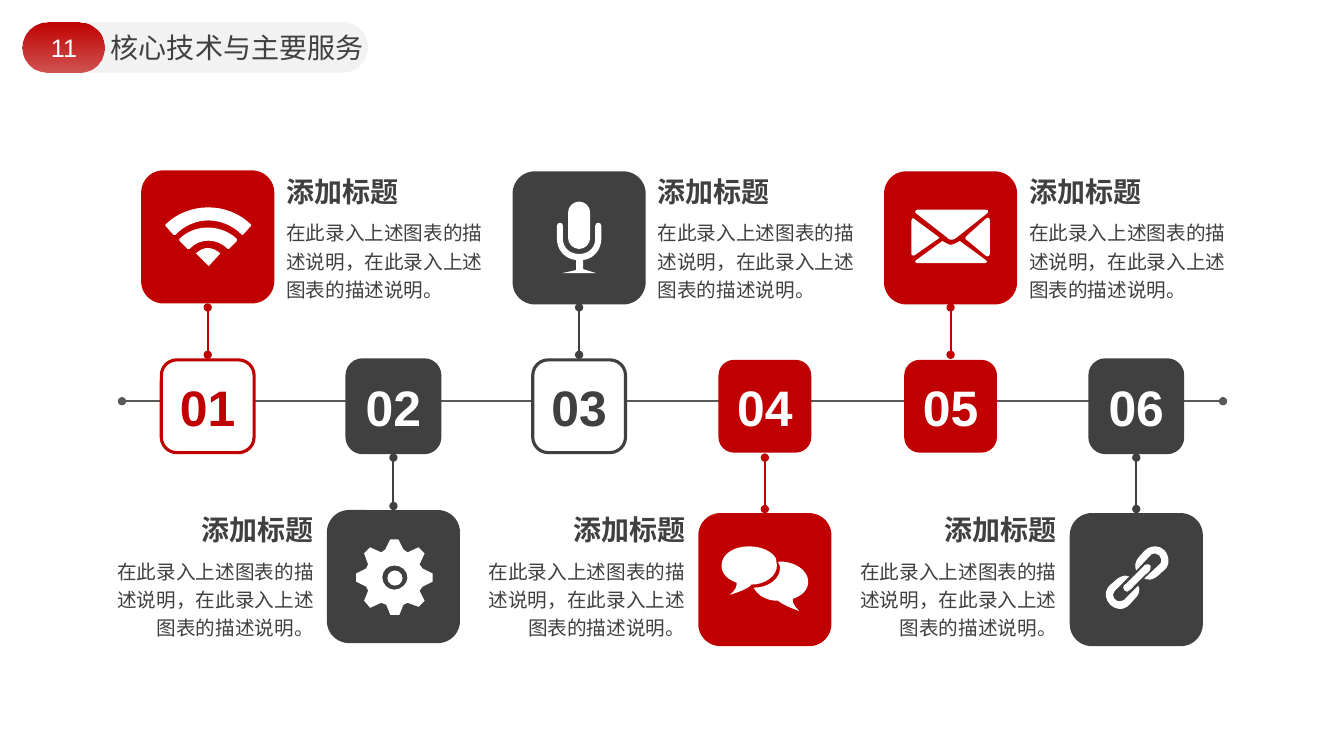
from dataclasses import dataclass

from lxml.etree import SubElement
from pptx import Presentation
from pptx.dml.color import RGBColor
from pptx.enum.shapes import MSO_CONNECTOR as Connector, MSO_SHAPE as Preset
from pptx.enum.text import MSO_ANCHOR as Anchor, MSO_AUTO_SIZE as AutoSize, PP_ALIGN as Align
from pptx.oxml.ns import qn
from pptx.util import Inches, Pt


@dataclass(frozen=True)
class Theme:
    red: str = "C00000"
    dark: str = "404040"
    axis: str = "595959"
    pale: str = "F2F2F2"
    white: str = "FFFFFF"
    latin: str = "Arial"
    chinese: str = "Noto Sans CJK SC"
    badge_size: float = 35.6
    title_size: float = 20
    page_size: float = 18
    body_size: float = 14
    border: float = 2.25
    rule: float = 1.5


THEME = Theme()
TITLE = "核心技术与主要服务"
PAGE = "11"
HEADING = "添加标题"
BODY = "在此录入上述图表的描述说明，在此录入上述图表的描述说明。"

# Icon outlines: M move, L line, C curve, in hundredths of an inch from the tile corner
WIFI = (
    "M 78 82 C 71 76 62 75 55 82 C 54 82 54 83 55 83 L 67 95 L 78 83 C 79 83 78 82 78 82",
    "M 95 68 C 79 53 53 53 38 68 L 38 70 L 46 78 L 48 78 C 58 67 75 67 86 78 L 87 78 L 95 70",
    "M 109 54 C 86 31 47 31 24 54 L 24 55 L 32 64 L 34 64 C 52 45 81 45 100 64 L 101 64 L 109 55",
)
GEAR = (
    "M 95 76 L 105 71 L 105 63 L 95 58 L 92 54 L 97 43 L 91 37 L 80 42 L 76 39 L 71 29 L 63 29 "
    "L 58 39 L 54 42 L 43 37 L 37 43 L 41 54 L 39 58 L 29 63 L 29 71 L 39 76 L 41 80 L 37 90 "
    "L 43 97 L 54 92 L 59 94 L 63 104 L 72 104 L 76 94 L 80 92 L 91 96 L 97 90 L 92 80 "
    "M 67 79 C 60 79 55 73 55 67 C 55 60 60 55 67 55 C 74 55 80 60 80 67 C 80 73 74 79 67 79",
)
MICROPHONE = (
    "M 88 67 L 88 54 C 88 50 82 50 82 54 L 82 67 C 82 76 75 82 66 82 C 57 82 50 76 50 67 L 50 54 "
    "C 50 50 44 50 44 54 L 44 67 C 44 78 52 87 63 88 L 63 98 L 49 101 L 83 101 L 70 97 L 70 88 "
    "C 80 87 88 78 88 67",
    "M 66 77 C 72 77 77 72 77 66 L 77 41 C 77 35 72 30 66 30 C 60 30 55 35 55 41 L 55 66 "
    "C 55 72 60 77 66 77",
)
CHAT = (
    "M 109 68 C 109 57 96 48 81 48 L 79 49 C 81 50 81 53 81 55 C 81 65 70 74 55 74 "
    "C 59 82 68 87 79 87 C 87 93 100 97 100 97 C 94 91 93 87 94 85 C 103 82 109 76 109 68",
    "M 77 45 C 73 38 63 33 50 33 C 35 33 23 41 23 52 C 23 60 29 66 38 69 C 38 72 38 76 31 81 "
    "C 31 81 44 78 52 72 L 52 71 C 67 71 78 62 78 52 C 78 49 78 48 77 45",
)
ENVELOPE = (
    "M 63 66 C 63 66 66 71 73 65 L 102 42 C 102 42 106 38 100 38 L 34 38 C 34 38 30 38 31 41",
    "M 105 81 L 105 48 C 104 44 101 47 101 47 L 81 65 C 79 67 82 68 82 68 L 100 83 "
    "C 105 87 105 81 105 81",
    "M 101 88 L 75 69 C 75 69 71 72 66 73 C 62 72 58 69 58 69 L 32 88 C 29 90 33 91 33 91 "
    "L 100 91 C 100 91 104 90 101 88",
    "M 27 81 L 27 49 C 28 44 31 48 31 48 L 54 65 C 56 66 52 68 52 68 L 32 82 C 27 86 27 81 27 81",
)
CHAIN = (
    "M 74 65 L 90 50 C 93 44 87 38 81 41 L 66 57 C 65 55 65 54 65 51 C 66 46 69 43 72 40 "
    "C 75 36 79 33 85 33 C 92 33 98 39 98 48 C 98 53 95 56 91 59 C 88 62 85 65 80 66 "
    "C 78 66 76 66 74 65",
    "M 76 51 C 79 50 81 52 80 55 C 80 57 77 60 75 61 L 64 72 C 62 74 60 77 57 78 "
    "C 55 78 53 76 53 74 C 53 72 54 71 56 70 L 73 53 C 74 52 74 51 76 51",
    "M 59 63 L 47 75 C 46 76 43 78 43 81 C 43 86 48 89 52 87 C 54 87 55 85 56 84 L 68 72 "
    "C 68 73 69 74 69 76 C 69 82 65 84 62 88 C 59 91 56 96 48 95 C 42 94 37 89 36 83 "
    "C 35 75 39 72 43 69 C 46 66 49 63 55 62 C 56 62 58 63 59 63",
)

# icon, colour, badge fill, badge border, tile top
STEPS = (
    (WIFI, THEME.red, THEME.white, THEME.red, 1.69),
    (GEAR, THEME.dark, THEME.dark, THEME.dark, 5.06),
    (MICROPHONE, THEME.dark, THEME.white, THEME.dark, 1.7),
    (CHAT, THEME.red, THEME.red, None, 5.09),
    (ENVELOPE, THEME.red, THEME.red, None, 1.7),
    (CHAIN, THEME.dark, THEME.dark, THEME.dark, 5.09),
)
FIRST_CENTER, LAST_CENTER = 2.06, 11.27
PITCH = (LAST_CENTER - FIRST_CENTER) / (len(STEPS) - 1)
AXIS_Y, BADGE_TOP, BADGE, TILE, HUB = 3.98, 3.57, 0.92, 1.32, 0.15
HEADING_WIDTH, BODY_WIDTH = 1.32, 2.34


def rgb(value):
    return RGBColor.from_string(value)


def write(shape, text, size, color=THEME.dark, bold=False, align=Align.LEFT, font=THEME.latin,
          wrap=True, spacing=None, anchor=Anchor.TOP):
    frame = shape.text_frame
    frame.auto_size, frame.word_wrap, frame.vertical_anchor = AutoSize.NONE, wrap, anchor
    paragraph = frame.paragraphs[0]
    paragraph.alignment, paragraph.line_spacing = align, spacing
    run = paragraph.add_run()
    run.text = text
    run.font.size, run.font.bold, run.font.name = Pt(size), bold, font
    run.font.color.rgb = rgb(color)
    SubElement(run.font._element, qn("a:ea"), typeface=THEME.chinese)


def paint(shape, fill, border=None):
    shape.shadow.inherit = False
    shape.fill.solid()
    shape.fill.fore_color.rgb = rgb(fill)
    if border:
        shape.line.color.rgb, shape.line.width = rgb(border), Pt(THEME.border)
    else:
        shape.line.fill.background()


def add_box(slide, left, top, width, height):
    return slide.shapes.add_textbox(*map(Inches, (left, top, width, height)))


def add_rounded(slide, left, top, width, height, fill, border=None, pill=False):
    shape = slide.shapes.add_shape(Preset.ROUNDED_RECTANGLE,
                                   *map(Inches, (left, top, width, height)))
    if pill:
        shape.adjustments[0] = 0.5
    paint(shape, fill, border)
    return shape


def add_dotted_line(slide, start, end, color):
    """Draw a line with a round dot at each end."""
    connector = slide.shapes.add_connector(Connector.STRAIGHT, *map(Inches, start + end))
    connector.line.color.rgb, connector.line.width = rgb(color), Pt(THEME.rule)
    line = connector.line._get_or_add_ln()
    for tag in ("a:headEnd", "a:tailEnd"):
        SubElement(line, qn(tag), type="oval")
    SubElement(connector._element.spPr, qn("a:effectLst"))


def add_outline(group, outline, left, top):
    """Build a freeform through all points, then turn each curve's three lines into a Bézier."""
    contours = []
    for contour in outline.split("M")[1:]:
        values = [int(word) for word in contour.split() if word.isdigit()]
        contours.append(list(zip(values[::2], values[1::2])))
    builder = group.shapes.build_freeform(*contours[0][0], scale=Inches(0.01))
    for index, points in enumerate(contours):
        if index:
            builder.move_to(*points[0])
        builder.add_line_segments(points[1:], close=True)
    shape = builder.convert_to_shape(Inches(left), Inches(top))
    geometry = shape._element.find(".//" + qn("a:path"))
    nodes = iter([node for node in geometry if node.tag != qn("a:close")])
    for command in filter(str.isalpha, outline):
        node = next(nodes)
        if command == "C":
            curve = SubElement(geometry, qn("a:cubicBezTo"))
            geometry.replace(node, curve)
            curve.append(node[0])
            for _ in range(2):
                control = next(nodes)
                curve.append(control[0])
                geometry.remove(control)
    paint(shape, THEME.white)


def add_icon(slide, icon, left, top):
    group = slide.shapes.add_group_shape()
    for outline in icon:
        add_outline(group, outline, left, top)
    if icon is GEAR:
        hub = group.shapes.add_shape(Preset.OVAL, *map(Inches, (left + 0.6, top + 0.6, HUB, HUB)))
        paint(hub, THEME.white)


def add_header(slide):
    add_rounded(slide, 0.22, 0.22, 3.43, 0.5, THEME.pale, pill=True)
    tab = add_rounded(slide, 0.22, 0.22, 0.82, 0.5, THEME.red, pill=True)
    tab.fill.gradient()
    tab.fill.gradient_angle = 270
    for stop in tab.fill.gradient_stops:
        stop.color.rgb = rgb(THEME.red)
    SubElement(tab._element.findall(".//" + qn("a:gs"))[-1][0], qn("a:alpha"), val="65000")
    write(add_box(slide, 0.38, 0.27, 0.51, 0.4), PAGE, THEME.page_size, THEME.white,
          align=Align.CENTER, wrap=False)
    title = slide.shapes.title
    title.left, title.top, title.width, title.height = map(Inches, (1, 0.25, 2.73, 0.44))
    write(title, TITLE, THEME.title_size, wrap=False)
    slide.shapes._spTree.append(title._element)


def add_step(slide, index, icon, color, fill, border, tile_top):
    center = FIRST_CENTER + index * PITCH
    upper = index % 2 == 0
    badge = add_rounded(slide, center - BADGE / 2, BADGE_TOP, BADGE, BADGE, fill, border)
    write(badge, f"{index + 1:02}", THEME.badge_size, color if fill == THEME.white else THEME.white,
          bold=True, align=Align.CENTER, anchor=Anchor.MIDDLE)
    ends = (3.05, 3.52) if upper else (tile_top - 0.04, 4.54)
    add_dotted_line(slide, (center, ends[0]), (center, ends[1]), color)
    tile_left = center - TILE / 2
    add_rounded(slide, tile_left, tile_top, TILE, TILE, color)
    add_icon(slide, icon, tile_left, tile_top)

    text_top = 1.68 if upper else 5.04
    align = Align.LEFT if upper else Align.RIGHT
    for text, top, width, height, size, bold, spacing in (
            (HEADING, text_top, HEADING_WIDTH, 0.44, THEME.title_size, True, None),
            (BODY, text_top + 0.42, BODY_WIDTH, 0.93, THEME.body_size, False, 1.2)):
        left = center + 0.68 if upper else center - 0.69 - width
        write(add_box(slide, left, top, width, height), text, size, bold=bold, align=align,
              font=THEME.chinese, wrap=not bold, spacing=spacing)


def main():
    presentation = Presentation()
    presentation.slide_width, presentation.slide_height = Inches(13.33), Inches(7.5)
    slide = presentation.slides.add_slide(presentation.slide_layouts[5])
    add_header(slide)
    add_dotted_line(slide, (1.21, AXIS_Y), (12.13, AXIS_Y), THEME.axis)
    for index, step in enumerate(STEPS):
        add_step(slide, index, *step)
    presentation.save("out.pptx")


if __name__ == "__main__":
    main()
